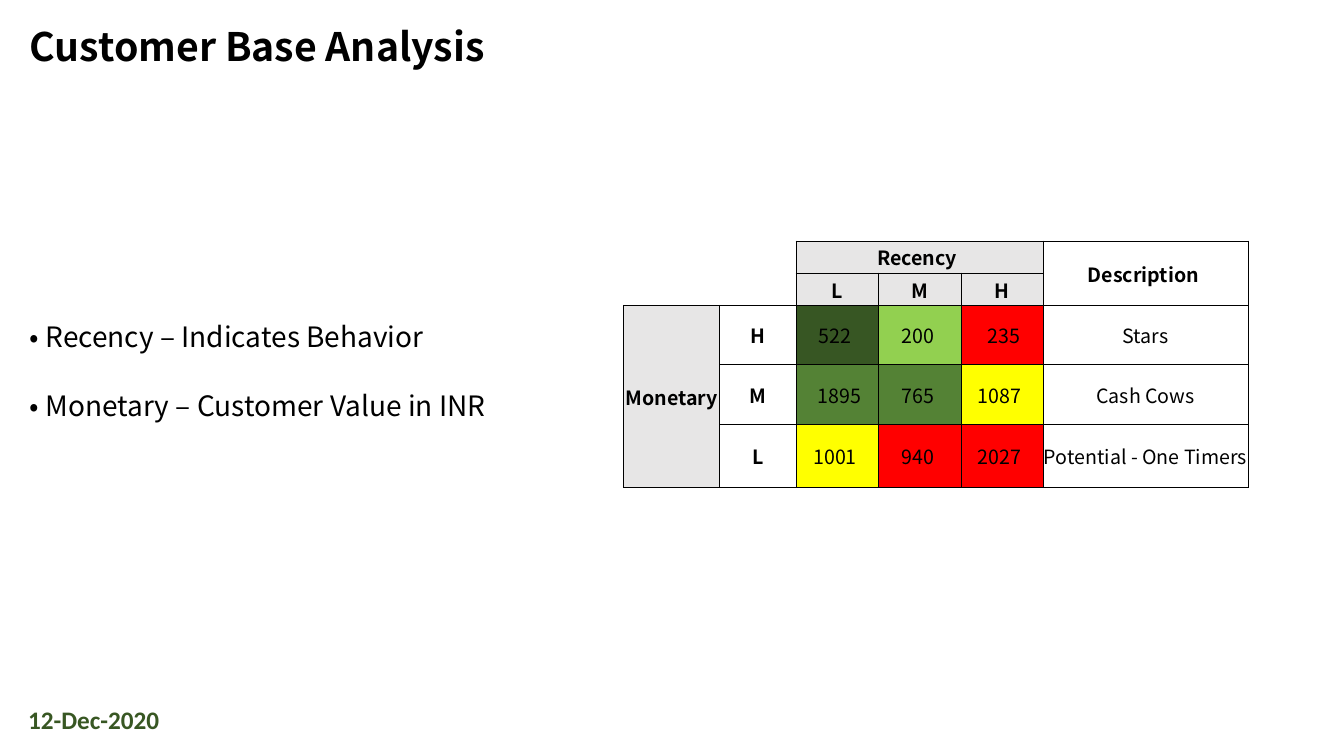
"""Builds the customer base analysis slide with its recency and monetary grid."""
from dataclasses import dataclass
from typing import Any

from lxml.etree import SubElement
from pptx import Presentation
from pptx.dml.color import RGBColor
from pptx.enum.text import MSO_ANCHOR as Anchor, PP_ALIGN as Align
from pptx.oxml.ns import qn
from pptx.util import Cm, Pt

SANS = "Noto Sans CJK JP"
BLACK, GREY = "000000", "E7E6E6"
DARK, GREEN, LIME, YELLOW, RED = "375623", "548235", "92D050", "FFFF00", "FF0000"


@dataclass(frozen=True)
class TextBlock:
    left: float
    top: float
    width: float
    height: float
    lines: tuple[str, ...]
    size: float
    line_pitch: float
    font: str = SANS
    hue: str = BLACK
    bold: bool = False
    gap: float = 0


@dataclass(frozen=True)
class GridCell:
    row: int
    column: int
    text: str
    fill: str = ""
    bold: bool = False
    row_span: int = 1
    column_span: int = 1
    bordered: bool = True


BLOCKS = (
    TextBlock(0.5, 0.43, 16.94, 1.45, ("Customer Base Analysis",), 28, 34, bold=True),
    TextBlock(0.5, 7.92, 13.9, 4.37,
              ("• Recency – Indicates Behavior", "• Monetary – Customer Value in INR"),
              20, 24.4, gap=24.4),
    TextBlock(0.46, 17.6, 4.5, 1.02, ("12-Dec-2020",), 18, 22,
              font="Calibri", hue="385723", bold=True),
)

COLUMN_WIDTHS = (2.41, 1.93, 2.08, 2.08, 2.06, 5.18)
ROW_HEIGHTS = (0.81, 0.81, 1.5, 1.5, 1.6)
HEADERS = (
    GridCell(0, 0, "", row_span=2, column_span=2, bordered=False),
    GridCell(0, 2, "Recency ", GREY, True, column_span=3),
    GridCell(0, 5, "Description ", bold=True, row_span=2),
    GridCell(2, 0, "Monetary", GREY, True, row_span=3),
)
RECENCY_LEVELS = ("L", "M", "H")
SEGMENTS = (
    ("H", (("522 ", DARK), ("200 ", LIME), (" 235", RED)), "Stars"),
    ("M", ((" 1895", GREEN), ("765 ", GREEN), ("1087 ", YELLOW)), "Cash Cows"),
    ("L", (("1001 ", YELLOW), ("940 ", RED), ("2027 ", RED)), "Potential - One Timers"),
)


def color(value: str) -> RGBColor:
    """Turn a hex string into a colour."""
    return RGBColor.from_string(value)


def apply(target: Any, values: dict[str, Any]) -> None:
    """Set every named attribute on the target."""
    for name, value in values.items():
        setattr(target, name, value)


def write(para: Any, text: str, size: float, font: str, hue: str, bold: bool) -> None:
    """Add one formatted run to a paragraph."""
    span = para.add_run()
    span.text = text
    apply(span.font, {"size": Pt(size), "name": font, "bold": bold})
    span.font.color.rgb = color(hue)


def draw_text(page: Any, block: TextBlock) -> None:
    """Draw a text box with one paragraph per line."""
    box = page.shapes.add_textbox(
        Cm(block.left), Cm(block.top), Cm(block.width), Cm(block.height))
    box.text_frame.word_wrap = True
    for index, line in enumerate(block.lines):
        para = box.text_frame.paragraphs[0] if index == 0 else box.text_frame.add_paragraph()
        apply(para, {"line_spacing": Pt(block.line_pitch),
                     "space_before": Pt(block.gap if index else 0)})
        write(para, line, block.size, block.font, block.hue, block.bold)


def set_borders(cell: Any, visible: bool) -> None:
    """Give a cell thin black edges, or none."""
    properties = cell._tc.get_or_add_tcPr()
    for edge in ("a:lnL", "a:lnR", "a:lnT", "a:lnB"):
        line = SubElement(properties, qn(edge), w=str(Pt(0.5)))
        if visible:
            SubElement(SubElement(line, qn("a:solidFill")), qn("a:srgbClr"), val=BLACK)
        else:
            SubElement(line, qn("a:noFill"))


def draw_cell(table: Any, item: GridCell) -> None:
    """Format, merge and fill one grid cell."""
    last_row = item.row + item.row_span
    last_column = item.column + item.column_span
    for row in range(item.row, last_row):
        for column in range(item.column, last_column):
            part = table.cell(row, column)
            set_borders(part, item.bordered)
            if item.fill:
                part.fill.solid()
                part.fill.fore_color.rgb = color(item.fill)
            else:
                part.fill.background()
    cell = table.cell(item.row, item.column)
    if item.row_span * item.column_span > 1:
        cell.merge(table.cell(last_row - 1, last_column - 1))
    apply(cell, {"vertical_anchor": Anchor.MIDDLE, "margin_left": Cm(0.02),
                 "margin_right": Cm(0.02), "margin_top": Cm(0.02), "margin_bottom": 0})
    para = cell.text_frame.paragraphs[0]
    para.alignment = Align.CENTER
    if item.text:
        write(para, item.text, 14, SANS, BLACK, item.bold)


def grid_cells() -> list[GridCell]:
    """List the headers, levels, counts and descriptions."""
    cells = list(HEADERS)
    cells += [GridCell(1, column, level, GREY, True)
              for column, level in enumerate(RECENCY_LEVELS, 2)]
    for row, (level, counts, description) in enumerate(SEGMENTS, 2):
        cells.append(GridCell(row, 1, level, bold=True))
        cells += [GridCell(row, column, count, fill)
                  for column, (count, fill) in enumerate(counts, 2)]
        cells.append(GridCell(row, 5, description))
    return cells


def draw_grid(page: Any) -> None:
    """Draw the recency and monetary table."""
    table = page.shapes.add_table(
        len(ROW_HEIGHTS), len(COLUMN_WIDTHS), Cm(15.72), Cm(6.07),
        Cm(sum(COLUMN_WIDTHS)), Cm(sum(ROW_HEIGHTS))).table
    apply(table, {"first_row": False, "horz_banding": False})
    for column, width in zip(table.columns, COLUMN_WIDTHS):
        column.width = Cm(width)
    for row, height in zip(table.rows, ROW_HEIGHTS):
        row.height = Cm(height)
    for item in grid_cells():
        draw_cell(table, item)


def main() -> None:
    """Build and save the deck."""
    deck = Presentation()
    apply(deck, {"slide_width": Cm(33.87), "slide_height": Cm(19.05)})
    page = deck.slides.add_slide(deck.slide_layouts[6])
    draw_grid(page)
    for block in BLOCKS:
        draw_text(page, block)
    deck.save("out.pptx")


if __name__ == "__main__":
    main()
